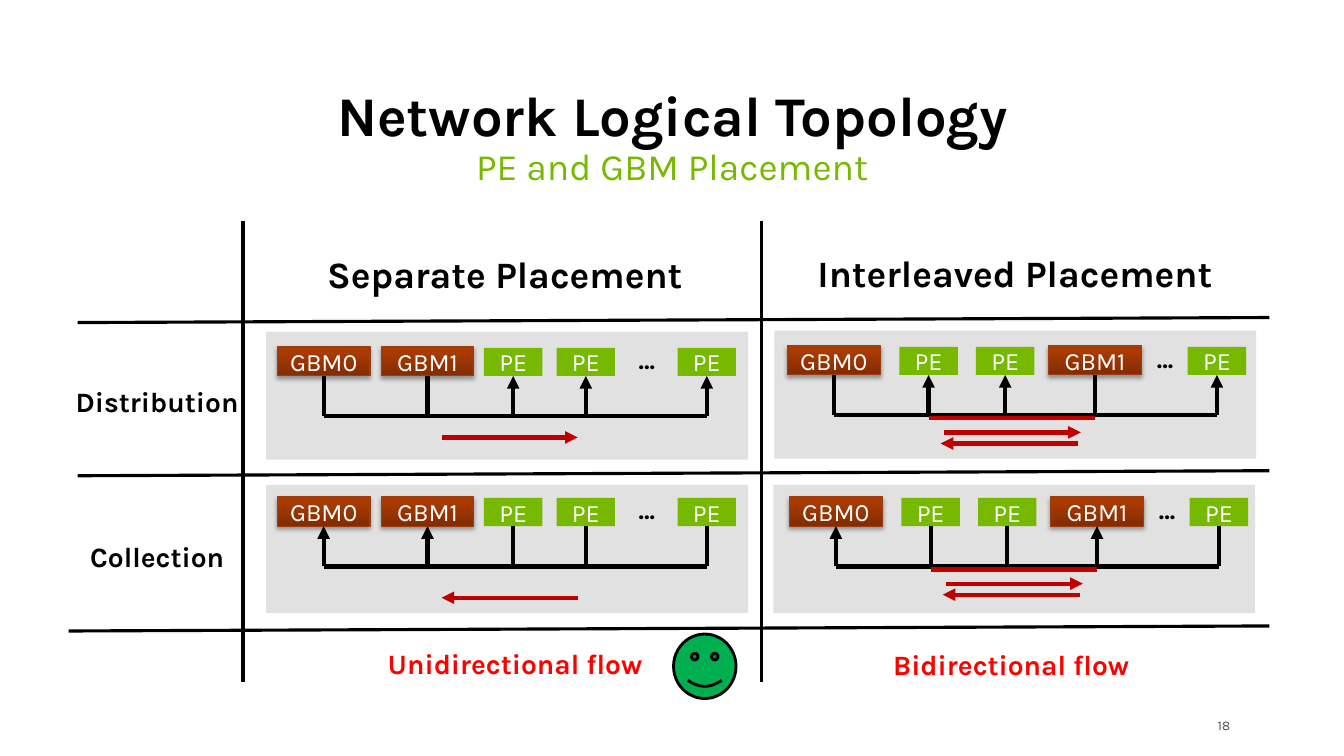
from lxml import etree
from pptx import Presentation
from pptx import util as u
from pptx.dml.color import RGBColor
from pptx.enum import shapes, text
from pptx.oxml import ns

PX = 9144
FONT = "Karla"
BLACK = RGBColor(0, 0, 0)
WHITE = RGBColor(255, 255, 255)
GREEN = RGBColor(0x76, 0xB9, 0x00)
PANEL_GREY = RGBColor(0xE1, 0xE1, 0xE1)
NUMBER_GREY = RGBColor(0x50, 0x50, 0x50)
RUST_DARK = RGBColor(0x82, 0x2C, 0x02)
RUST = RGBColor(0xA8, 0x3A, 0x02)
RUST_EDGE = RGBColor(0x9A, 0x3F, 0x12)
FLOW_RED = RGBColor(0xC0, 0, 0)
LABEL_RED = RGBColor(255, 0, 0)
SMILEY_GREEN = RGBColor(0, 0xB0, 0x50)

GBM_WIDTH, GBM_HEIGHT = 92, 29
PE_WIDTH, PE_HEIGHT = 58, 28
BUS_DROP = 69


def px(value):
    return u.Emu(round(value * PX))


def write(box, words, size=17.8, color=BLACK, bold=False, spacing=None,
          align=text.PP_ALIGN.CENTER, anchor=text.MSO_ANCHOR.MIDDLE):
    frame = box.text_frame
    frame.word_wrap = True
    frame.margin_left = frame.margin_right = 0
    frame.vertical_anchor = anchor
    para = frame.paragraphs[0]
    para.alignment = align
    para.line_spacing = spacing
    span = para.add_run()
    span.text = words
    span.font.name = FONT
    span.font.size = u.Pt(size)
    span.font.bold = bold
    span.font.color.rgb = color


class TopologySlide:
    def __init__(self, deck):
        self.page = deck.slides.add_slide(deck.slide_layouts[6])

    def label(self, words, x, y, width, height, **style):
        box = self.page.shapes.add_textbox(px(x), px(y), px(width), px(height))
        write(box, words, **{"spacing": 0.9, **style})

    def box(self, x, y, width, height, fill=None,
            kind=shapes.MSO_SHAPE.RECTANGLE):
        box = self.page.shapes.add_shape(kind, px(x), px(y), px(width), px(height))
        box.shadow.inherit = False
        box.line.fill.background()
        if fill is not None:
            box.fill.solid()
            box.fill.fore_color.rgb = fill
        return box

    def line(self, x1, y1, x2, y2, color=BLACK, width=3, arrow=False):
        line = self.page.shapes.add_connector(
            shapes.MSO_CONNECTOR.STRAIGHT, px(x1), px(y1), px(x2), px(y2))
        line.line.color.rgb = color
        line.line.width = u.Pt(width)
        if arrow:
            outline = line.line._get_or_add_ln()
            etree.SubElement(outline, ns.qn("a:tailEnd"), type="triangle")
        etree.SubElement(line._element.spPr, ns.qn("a:effectLst"))

    def gbm(self, words, x, y):
        box = self.box(x, y, GBM_WIDTH, GBM_HEIGHT)
        box.fill.gradient()
        box.fill.gradient_angle = 90
        for stop, color, position in zip(box.fill.gradient_stops,
                                         (RUST_DARK, RUST), (0, 0.8)):
            stop.color.rgb = color
            stop.position = position
        box.line.color.rgb = RUST_EDGE
        box.line.width = u.Pt(0.75)
        effects = box._element.spPr.find(ns.qn("a:effectLst"))
        shadow = etree.SubElement(
            effects, ns.qn("a:outerShdw"), blurRad=str(u.Pt(3.1)),
            dist=str(u.Pt(1.8)), dir="5400000", rotWithShape="0")
        tint = etree.SubElement(shadow, ns.qn("a:srgbClr"), val="000000")
        etree.SubElement(tint, ns.qn("a:alpha"), val="35000")
        write(box, words, color=WHITE)

    def pe(self, x, y):
        write(self.box(x, y, PE_WIDTH, PE_HEIGHT, GREEN), "PE", color=WHITE)

    def stub(self, x, chip_bottom, bus, arrow):
        self.line(x, bus, x, chip_bottom, arrow=arrow)

    def network(self, panel, left, top, gbms, pes, dots, distributes):
        self.box(*panel, 478, 127, PANEL_GREY)
        for index, offset in enumerate(gbms):
            self.gbm(f"GBM{index}", left + offset, top)
        for offset in pes:
            self.pe(left + offset, top + 1)
        self.label("…", left + dots, top - 4, 35, 37, bold=True)

        bus = top + BUS_DROP
        gbm_centers = [left + offset + GBM_WIDTH / 2 for offset in gbms]
        pe_centers = [left + offset + PE_WIDTH / 2 for offset in pes]
        self.line(gbm_centers[0], bus, pe_centers[-1], bus)
        for x in gbm_centers:
            self.stub(x, top + GBM_HEIGHT, bus, not distributes)
        for x in pe_centers:
            self.stub(x, top + 1 + PE_HEIGHT, bus, distributes)

        if gbm_centers[1] > pe_centers[0]:
            self.line(pe_centers[0], bus + 3, gbm_centers[1], bus + 3, FLOW_RED)
            self.line(left + 155, bus + 17, left + 291, bus + 17, FLOW_RED, arrow=True)
            self.line(left + 288, bus + 28, left + 152, bus + 28, FLOW_RED, arrow=True)
        elif distributes:
            self.line(left + 163, bus + 21, left + 298, bus + 21, FLOW_RED, arrow=True)
        else:
            self.line(left + 298, bus + 31, left + 163, bus + 31, FLOW_RED, arrow=True)

    def grid(self):
        for x in (241, 755):
            self.line(x, 219, x, 677, width=2.25)
        for x, y in ((77, 320), (77, 472), (68, 626)):
            self.line(x, y, 1259, y - 5, width=2.25)

    def smiley(self, x, y, width, height):
        face = self.box(x, y, width, height, SMILEY_GREEN,
                        shapes.MSO_SHAPE.SMILEY_FACE)
        face.line.color.rgb = BLACK
        face.line.width = u.Pt(2)


def main():
    deck = Presentation()
    deck.slide_width, deck.slide_height = u.Inches(13.33), u.Inches(7.5)
    slide = TopologySlide(deck)

    slide.label("Network Logical Topology", 61, 80, 1212, 72, size=40,
                bold=True, anchor=text.MSO_ANCHOR.BOTTOM)
    slide.label("PE and GBM Placement", 61, 142, 1212, 64, size=26.6,
                color=GREEN, anchor=text.MSO_ANCHOR.TOP)
    slide.label("18", 1181, 709, 39, 20, size=9.4, color=NUMBER_GREY,
                spacing=None, align=text.PP_ALIGN.RIGHT)

    separate = {"gbms": (0, 103), "pes": (205, 277, 397), "dots": 349}
    interleaved = {"gbms": (0, 259), "pes": (111, 187, 397), "dots": 357}
    for panel, left, top, layout, distributes in (
            ((768, 328), 781, 343, interleaved, True),
            ((264, 329), 275, 344, separate, True),
            ((767, 481), 783, 493, interleaved, False),
            ((264, 481), 275, 493, separate, False)):
        slide.network(panel, left, top, distributes=distributes, **layout)

    for words, x, y in (("Separate Placement", 264, 237),
                        ("Interleaved Placement", 770, 236)):
        write(slide.box(x, y, 474, 68, WHITE), words, size=26.6, bold=True)
    slide.grid()

    for words, x, y, width, color in (
            ("Distribution", 61, 380, 190, BLACK),
            ("Collection", 61, 534, 190, BLACK),
            ("Unidirectional flow", 347, 640, 328, LABEL_RED),
            ("Bidirectional flow", 857, 641, 292, LABEL_RED)):
        slide.label(words, x, y, width, 40, size=20, color=color, bold=True)
    slide.smiley(668, 629, 62, 64)

    deck.save("out.pptx")


if __name__ == "__main__":
    main()
